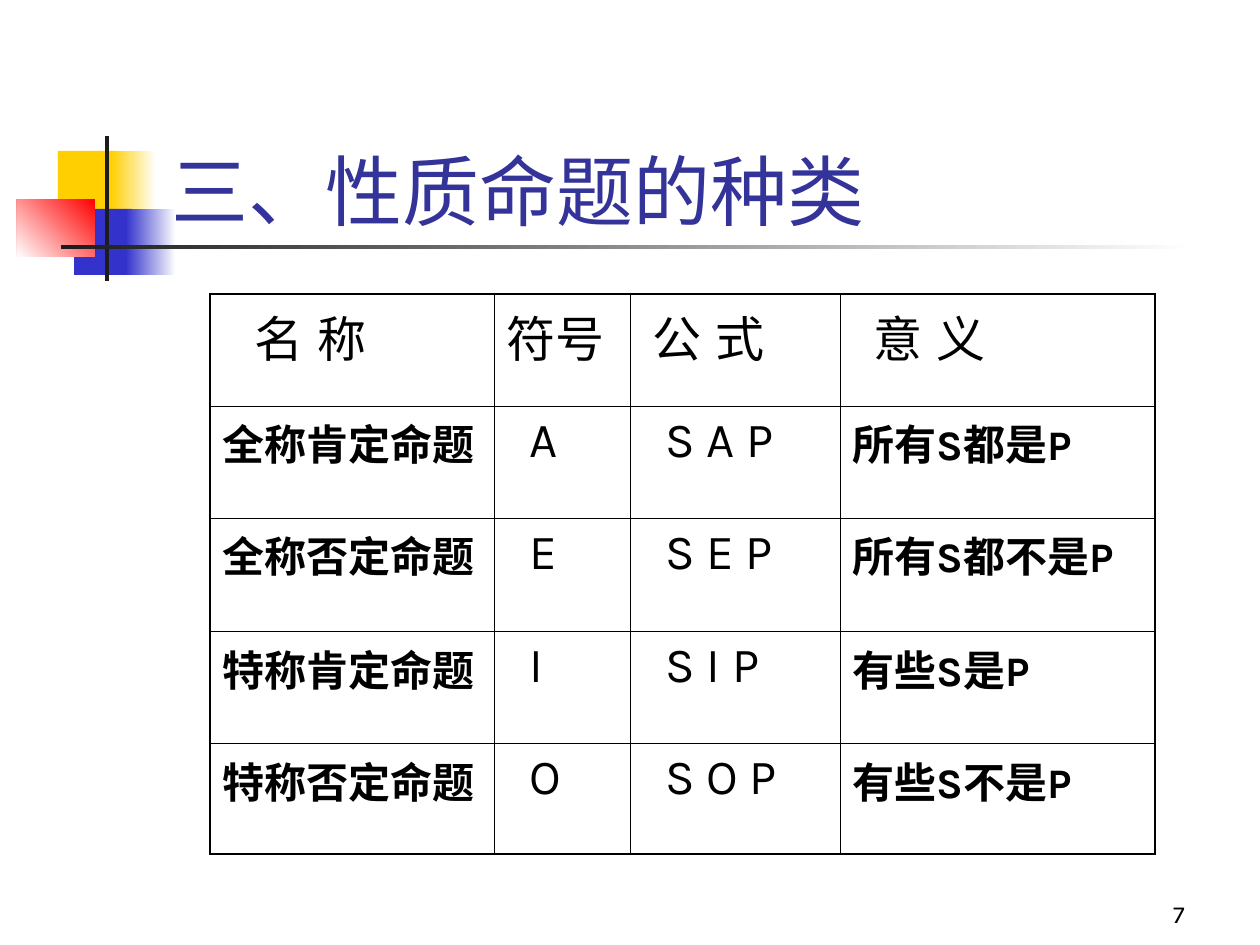
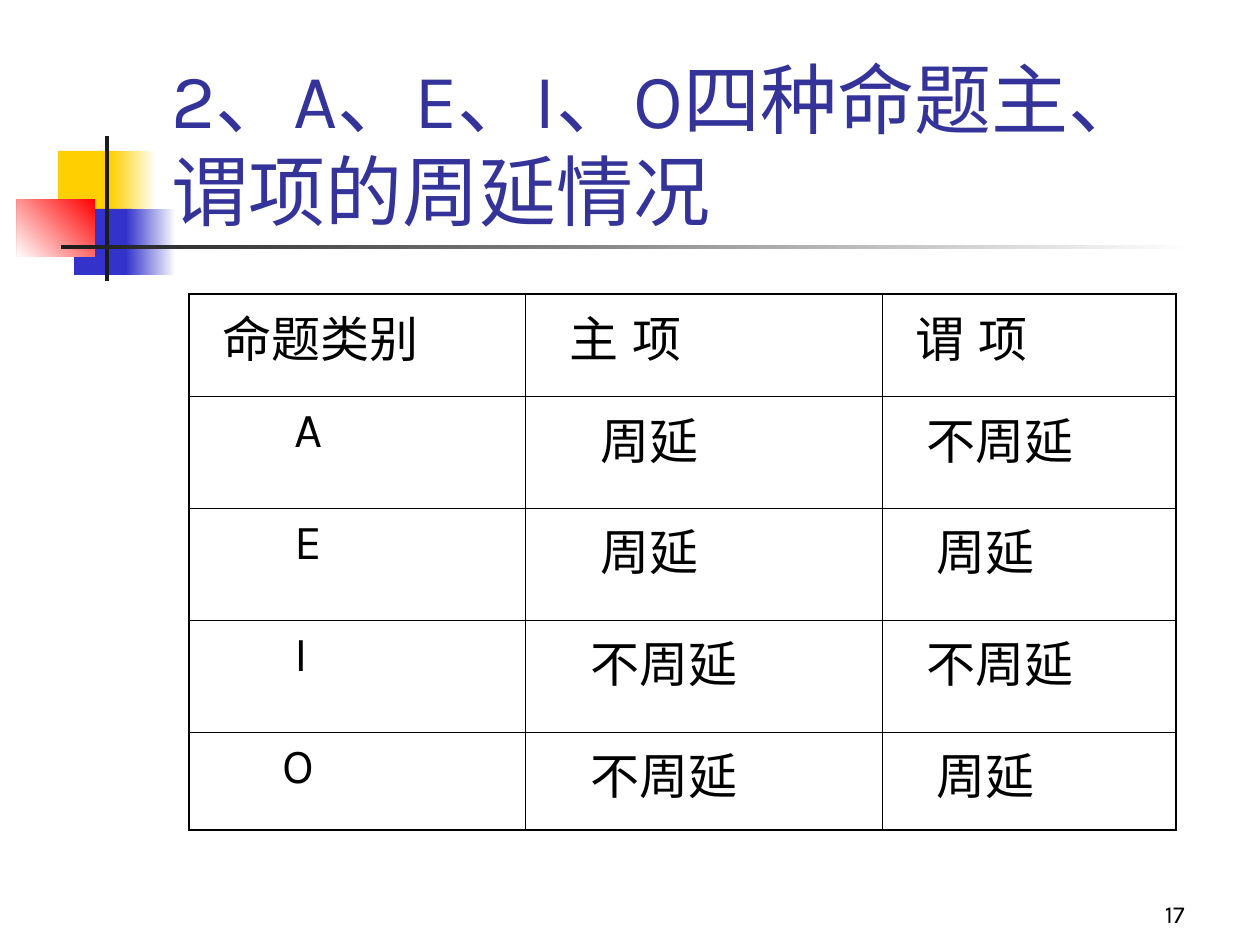
from lxml.etree import SubElement
from pptx import Presentation
from pptx.dml.color import RGBColor
from pptx.enum.shapes import MSO_SHAPE
from pptx.enum.text import MSO_ANCHOR, PP_ALIGN
from pptx.oxml.ns import qn
from pptx.util import Pt

COLORS = {
    "yellow": "FFCF01", "blue": "3333CC", "red": "FF0000", "white": "FFFFFF",
    "ink": "1C1C1C", "title": "333399", "text": "000000",
}
FONT = "Karla"
PX = 914400 / 126
SLIDE_SIZE = (1260, 945)
TITLE_BOX = (159, 84, 1074, 158)
NUMBER_BOX = (935, 872, 262, 63)
OUTER_BORDER, INNER_BORDER = 1.08, 0.45

ORNAMENTS = [
    ((58, 151, 60, 66), ["yellow"], 0),
    ((111, 151, 45, 66), ["white", "yellow"], 180),
    ((74, 209, 58, 66), ["blue"], 0),
    ((126, 209, 50, 66), ["white", "blue"], 180),
    ((17, 199, 78, 58), ["red", "white"], 225),
    ((105, 136, 4, 145), ["ink"], 0),
    ((61, 245, 1134, 4), ["white", "ink"], 180),
]

# Each cell: text, left indent, and a tab stop where the text holds a tab.
SLIDES = [
    {
        "title": "三、性质命题的种类",
        "number": "7",
        "corner": (210, 294),
        "columns": [284, 136, 210, 315],
        "rows": [112, 112, 113, 112, 111],
        "bold_columns": (0, 3),
        "cells": [
            [("名\t称", 32, 124), ("符号", 0), ("公\t式", 10, 92), ("意\t义", 21, 136)],
            [("全称肯定命题", 0), ("A", 23), ("S A P", 23), ("所有S都是P", 0)],
            [("全称否定命题", 0), ("E", 23), ("S E P", 23), ("所有S都不是P", 0)],
            [("特称肯定命题", 0), ("I", 23), ("S I P", 23), ("有些S是P", 0)],
            [("特称否定命题", 0), ("O", 23), ("S O P", 23), ("有些S不是P", 0)],
        ],
    },
    {
        "title": "2、A、E、I、O四种命题主、谓项的周延情况",
        "number": "17",
        "corner": (189, 294),
        "columns": [336, 357, 294],
        "rows": [102, 112, 112, 112, 98],
        "bold_columns": (),
        "cells": [
            [("命题类别", 21), ("主\t项", 32, 135), ("谓\t项", 21, 113)],
            [("A", 93), ("周延", 63), ("不周延", 32)],
            [("E", 93), ("周延", 63), ("周延", 42)],
            [("I", 93), ("不周延", 53), ("不周延", 32)],
            [("O", 81), ("不周延", 53), ("周延", 42)],
        ],
    },
]


def emu(*lengths):
    return [round(length * PX) for length in lengths]


def rgb(name):
    return RGBColor.from_string(COLORS[name])


def style(paragraph, size, color="text", bold=False):
    font = paragraph.font
    font.name, font.size, font.bold = FONT, Pt(size), bold
    font.color.rgb = rgb(color)


def add_ornament(slide, box, colors, angle):
    ornament = slide.shapes.add_shape(MSO_SHAPE.RECTANGLE, *emu(*box))
    ornament.shadow.inherit = False
    ornament.line.fill.background()
    if len(colors) == 1:
        ornament.fill.solid()
        ornament.fill.fore_color.rgb = rgb(colors[0])
        return
    ornament.fill.gradient()
    ornament.fill.gradient_angle = angle
    for stop, position, color in zip(ornament.fill.gradient_stops, (0, 1), colors):
        stop.position = position
        stop.color.rgb = rgb(color)


def add_text(slide, box, text, size, color, align):
    frame = slide.shapes.add_textbox(*emu(*box)).text_frame
    frame.word_wrap = True
    frame.vertical_anchor = MSO_ANCHOR.BOTTOM
    paragraph = frame.paragraphs[0]
    paragraph.text = text
    paragraph.alignment = align
    style(paragraph, size, color)


def add_borders(cell, outer_sides):
    properties = cell._tc.get_or_add_tcPr()
    for side in "LRTB":
        width = OUTER_BORDER if side in outer_sides else INNER_BORDER
        line = SubElement(properties, qn(f"a:ln{side}"), w=str(Pt(width)))
        fill = SubElement(line, qn("a:solidFill"))
        SubElement(fill, qn("a:srgbClr"), val=COLORS["text"])


def fill_cell(cell, text, indent, stops, bold):
    paragraph = cell.text_frame.paragraphs[0]
    paragraph.text = text
    properties = paragraph._p.get_or_add_pPr()
    properties.set("marL", str(emu(indent)[0]))
    properties.set("indent", "0")
    if stops:
        tabs = SubElement(properties, qn("a:tabLst"))
        for stop in emu(*stops):
            SubElement(tabs, qn("a:tab"), pos=str(stop), algn="l")
    style(paragraph, 24 if bold else 28, bold=bold)


def add_table(slide, content):
    columns, rows = content["columns"], content["rows"]
    box = (*content["corner"], sum(columns), sum(rows))
    table = slide.shapes.add_table(len(rows), len(columns), *emu(*box)).table
    table.first_row = table.horz_banding = False
    for column, width in zip(table.columns, emu(*columns)):
        column.width = width
    for row, height in zip(table.rows, emu(*rows)):
        row.height = height
    for r, row_cells in enumerate(content["cells"]):
        for c, (text, indent, *stops) in enumerate(row_cells):
            cell = table.cell(r, c)
            edges = {"L": c == 0, "R": c == len(columns) - 1,
                     "T": r == 0, "B": r == len(rows) - 1}
            add_borders(cell, [side for side, outer in edges.items() if outer])
            cell.fill.background()
            fill_cell(cell, text, indent, stops, r > 0 and c in content["bold_columns"])


def main():
    presentation = Presentation()
    presentation.slide_width, presentation.slide_height = emu(*SLIDE_SIZE)
    for content in SLIDES:
        slide = presentation.slides.add_slide(presentation.slide_layouts[6])
        for ornament in ORNAMENTS:
            add_ornament(slide, *ornament)
        add_text(slide, TITLE_BOX, content["title"], 44, "title", PP_ALIGN.LEFT)
        add_table(slide, content)
        add_text(slide, NUMBER_BOX, content["number"], 14, "text", PP_ALIGN.RIGHT)
    presentation.save("out.pptx")


if __name__ == "__main__":
    main()
